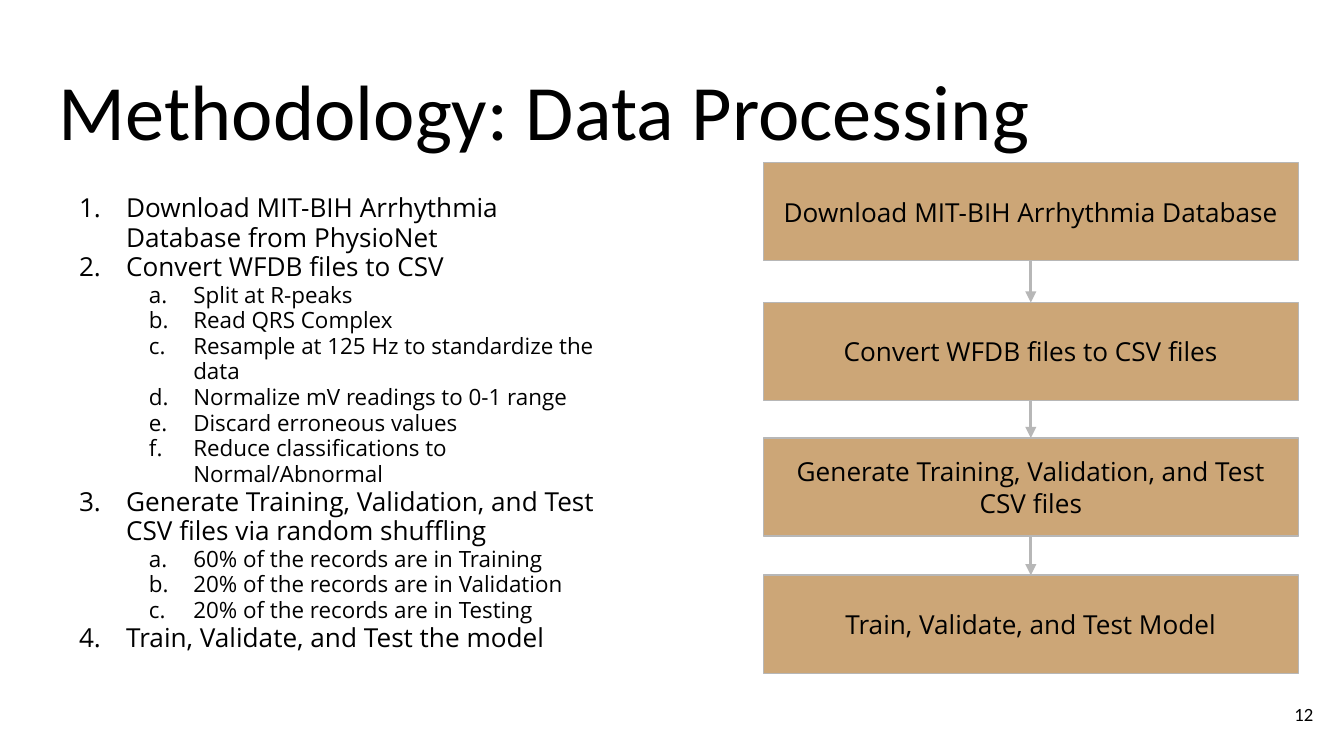
from lxml import etree
from pptx import Presentation
from pptx.dml.color import RGBColor
from pptx.enum.shapes import MSO_CONNECTOR, MSO_SHAPE
from pptx.enum.text import MSO_ANCHOR, PP_ALIGN
from pptx.oxml.ns import qn
from pptx.util import Inches, Pt

RECTANGLE, STRAIGHT = MSO_SHAPE.RECTANGLE, MSO_CONNECTOR.STRAIGHT
TOP, MIDDLE, BOTTOM = MSO_ANCHOR.TOP, MSO_ANCHOR.MIDDLE, MSO_ANCHOR.BOTTOM
LEFT, CENTER, RIGHT = PP_ALIGN.LEFT, PP_ALIGN.CENTER, PP_ALIGN.RIGHT
TOP_SIDE, BOTTOM_SIDE = 0, 2

TITLE = "Methodology: Data Processing"
PAGE_NUMBER = "12"
OUTLINE = [
    ("Download MIT-BIH Arrhythmia Database from PhysioNet", []),
    ("Convert WFDB files to CSV", [
        "Split at R-peaks",
        "Read QRS Complex",
        "Resample at 125 Hz to standardize the data",
        "Normalize mV readings to 0-1 range",
        "Discard erroneous values",
        "Reduce classifications to Normal/Abnormal",
    ]),
    ("Generate Training, Validation, and Test CSV files via random shuffling", [
        "60% of the records are in Training",
        "20% of the records are in Validation",
        "20% of the records are in Testing",
    ]),
    ("Train, Validate, and Test the model", []),
]
# Each step of the flow with the top of its box
FLOW = [
    ("Download MIT-BIH Arrhythmia Database", 1.21),
    ("Convert WFDB files to CSV files", 2.25),
    ("Generate Training, Validation, and Test CSV files", 3.26),
    ("Train, Validate, and Test Model", 4.28),
]

THEME = {
    "ink": RGBColor(0x00, 0x00, 0x00),
    "box": RGBColor(0xCC, 0xA6, 0x77),
    "line": RGBColor(0xB7, 0xB7, 0xB7),
    "heading_font": "Calibri",
    "body_font": "Open Sans",
    "title": 42,
    "body": 14,
    "detail": 12,
    "number": 10,
}
# Per outline level: text size, left margin, hanging indent, numbering
LEVELS = [
    (THEME["body"], 0.5, -0.35, "arabicPeriod"),
    (THEME["detail"], 1.0, -0.33, "alphaLcPeriod"),
]

WIDTH = 10
HEIGHT = WIDTH * 9 / 16
MARGIN = 0.34
CONTENT_WIDTH = WIDTH - 2 * MARGIN
BOX_WIDTH, BOX_HEIGHT = 3.98, 0.73
BOX_LEFT = WIDTH - MARGIN - BOX_WIDTH
INSET = 0.1


def style_paragraph(para, size, font, align):
    para.alignment = align
    for span in para.runs:
        span.font.size = Pt(size)
        span.font.name = font
        span.font.color.rgb = THEME["ink"]


def fill_frame(shape, text, size, font, align, anchor):
    frame = shape.text_frame
    frame.word_wrap = True
    frame.vertical_anchor = anchor
    frame.margin_left = frame.margin_right = Inches(INSET)
    frame.margin_top = frame.margin_bottom = Inches(INSET)
    frame.text = text
    for para in frame.paragraphs:
        style_paragraph(para, size, font, align)


def add_text(page, area, text, size, font, align, anchor):
    box = page.shapes.add_textbox(*map(Inches, area))
    fill_frame(box, text, size, font, align, anchor)
    return box


def number_paragraph(para, level):
    size, margin, indent, scheme = LEVELS[level]
    para.level = level
    para.line_spacing = 0.95
    style_paragraph(para, size, THEME["body_font"], LEFT)
    properties = para._p.get_or_add_pPr()
    properties.set("marL", str(Inches(margin)))
    properties.set("indent", str(Inches(indent)))
    color = etree.SubElement(properties, qn("a:buClr"))
    etree.SubElement(color, qn("a:srgbClr"), val=str(THEME["ink"]))
    etree.SubElement(properties, qn("a:buFont"), typeface=THEME["body_font"])
    etree.SubElement(properties, qn("a:buAutoNum"), type=scheme)


def add_outline(page):
    items = []
    for heading, details in OUTLINE:
        items.append((heading, 0))
        items += [(detail, 1) for detail in details]
    text = "\n".join(item for item, _ in items)
    box = add_text(page, (MARGIN, 1.34, 4.37, 3.67), text,
                   THEME["body"], THEME["body_font"], LEFT, TOP)
    for para, (_, level) in zip(box.text_frame.paragraphs, items):
        number_paragraph(para, level)


def add_step(page, text, top):
    area = (BOX_LEFT, top, BOX_WIDTH, BOX_HEIGHT)
    box = page.shapes.add_shape(RECTANGLE, *map(Inches, area))
    box.shadow.inherit = False
    box.fill.solid()
    box.fill.fore_color.rgb = THEME["box"]
    box.line.color.rgb = THEME["line"]
    box.line.width = Pt(0.75)
    fill_frame(box, text, THEME["body"], THEME["body_font"], CENTER, MIDDLE)
    return box


def add_arrow(page, upper, lower):
    arrow = page.shapes.add_connector(STRAIGHT, 0, 0, 0, 0)
    arrow.begin_connect(upper, BOTTOM_SIDE)
    arrow.end_connect(lower, TOP_SIDE)
    arrow.line.color.rgb = THEME["line"]
    arrow.line.width = Pt(1.5)
    etree.SubElement(arrow.line._get_or_add_ln(), qn("a:tailEnd"), type="triangle")
    etree.SubElement(arrow._element.spPr, qn("a:effectLst"))


def main():
    deck = Presentation()
    deck.slide_width, deck.slide_height = Inches(WIDTH), Inches(HEIGHT)
    page = deck.slides.add_slide(deck.slide_layouts[6])

    add_text(page, (MARGIN, 0.35, CONTENT_WIDTH, 0.91), TITLE,
             THEME["title"], THEME["heading_font"], LEFT, BOTTOM)
    add_outline(page)
    steps = [add_step(page, text, top) for text, top in FLOW]
    for upper, lower in zip(steps, steps[1:]):
        add_arrow(page, upper, lower)
    add_text(page, (9.27, 5.1, 0.6, 0.43), PAGE_NUMBER,
             THEME["number"], THEME["heading_font"], RIGHT, MIDDLE)

    deck.save("out.pptx")


if __name__ == "__main__":
    main()
